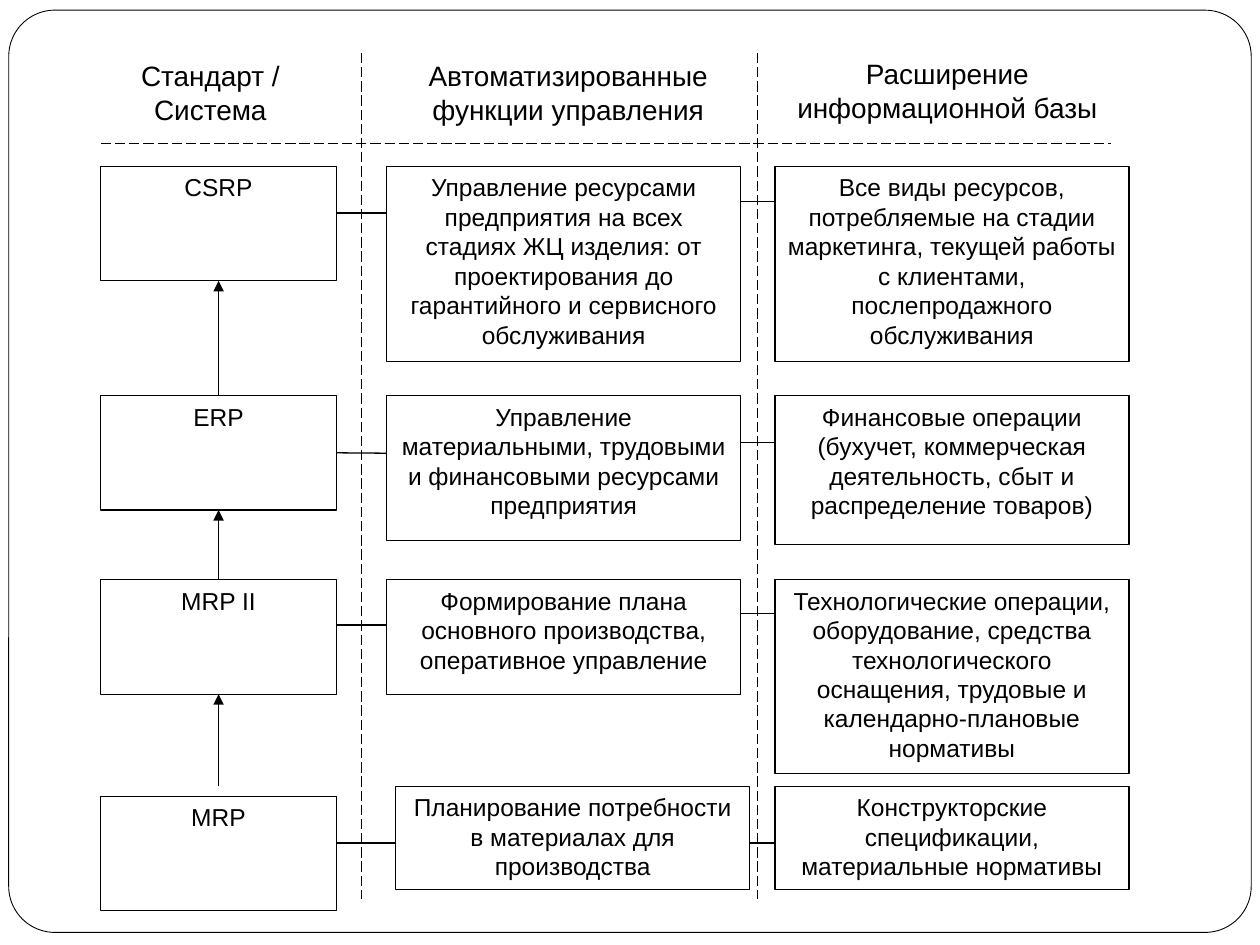
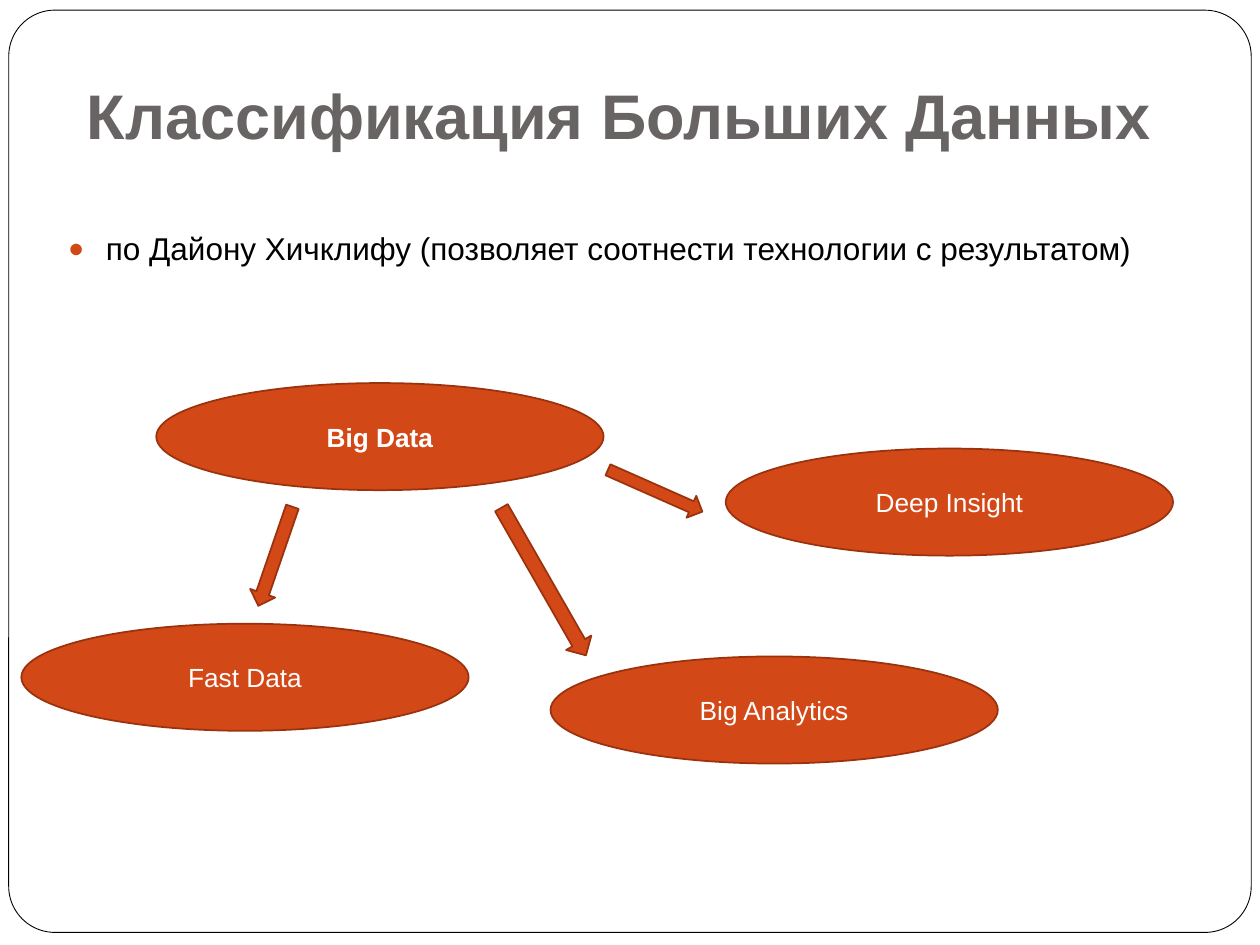
import pptx
import pptx.dml.color
import pptx.enum.dml
import pptx.enum.shapes
import pptx.enum.text
import pptx.oxml.ns
import pptx.util
from lxml import etree

Pt = pptx.util.Pt
SHAPES = pptx.enum.shapes.MSO_SHAPE
ANCHOR = pptx.enum.text.MSO_ANCHOR
ALIGN = pptx.enum.text.PP_ALIGN

# Shared style
FONT = "Arial"
BLACK, WHITE, GREY = "000000", "FFFFFF", "696464"
ORANGE, RUST = "D34817", "9B320E"
FRAME = (5, 5.8, 710, 527)

# Slide 1: headings (left, top, width) and the three columns of boxes
HEADINGS = [
    ("Стандарт / Система", 72, 30.2, 96.5),
    ("Автоматизированные функции управления", 231.8, 30.2, 185.8),
    ("Расширение информационной базы", 442, 28.8, 198.7),
]
HEADING_HEIGHT = 52.6
SYSTEM_LEFT, SYSTEM_WIDTH, SYSTEM_HEIGHT = 57.6, 134.6, 65.5
FUNCTION_LEFT, BASE_LEFT, DETAIL_WIDTH = 221, 442.8, 202.3
DIVIDERS = [  # from, to
    ((57.6, 82), (635, 82)),
    ((206.6, 30.2), (206.6, 514)),
    ((432.7, 30.2), (432.7, 514)),
]
LEVELS = [
    dict(system="CSRP", top=95, links=(121.7, 115.2),
         function="Управление ресурсами предприятия на всех стадиях ЖЦ изделия: "
                  "от проектирования до гарантийного и сервисного обслуживания",
         function_height=111.6,
         base="Все виды ресурсов, потребляемые на стадии маркетинга, текущей "
              "работы с клиентами, послепродажного обслуживания",
         base_height=111.6),
    dict(system="ERP", top=226, links=(259, 252.7),
         function="Управление материальными, трудовыми и финансовыми ресурсами "
                  "предприятия",
         function_height=82.8,
         base="Финансовые операции (бухучет, коммерческая деятельность, сбыт и "
              "распределение товаров)",
         base_height=85),
    dict(system="MRP II", top=331.2, links=(357.1, 350.6),
         function="Формирование плана основного производства, оперативное управление",
         function_height=65.5,
         base="Технологические операции, оборудование, средства технологического "
              "оснащения, трудовые и календарно-плановые нормативы",
         base_height=110.9),
    dict(system="MRP", top=455, links=(481.7, 481.7), detail_top=449.3,
         function="Планирование потребности в материалах для производства",
         function_left=226.1, function_height=59,
         base="Конструкторские спецификации, материальные нормативы",
         base_height=59),
]

# Slide 2: title, list and the tree of ellipses
TITLE = "Классификация Больших Данных"
TITLE_BOX = (42.5, 23, 641.5, 71.3)
AUTHOR_NOTE = "по Дайону Хичклифу (позволяет соотнести технологии с результатом)"
NOTE_BOX = (31.7, 127.4, 648, 62)
CLASS_SIZE = (255.6, 61.2)
CLASSES = [  # text, left, top, bold
    ("Big Data", 89.3, 218.9, True),
    ("Fast Data", 12.2, 356.4, False),
    ("Big Analytics", 314.6, 375.1, False),
    ("Deep Insight", 414.7, 256.3, False),
]
BRANCHES = [  # preset, box, rotation
    (SHAPES.RIGHT_ARROW, (344.9, 273.6, 59, 13.7), 23.9),
    (SHAPES.DOWN_ARROW, (149.8, 288, 15.1, 59.8), 19),
    (SHAPES.DOWN_ARROW, (302.4, 283.7, 16.6, 97.2), 330.2),
]


def rgb(value):
    return pptx.dml.color.RGBColor.from_string(value)


def add_xml(parent, tag, **attributes):
    return etree.SubElement(parent, pptx.oxml.ns.qn(tag), attributes)


def place(shape, box):
    shape.left, shape.top, shape.width, shape.height = map(Pt, box)


def write(shape, text, size, color, bold=False, align=ALIGN.CENTER, anchor=ANCHOR.TOP):
    frame = shape.text_frame
    frame.text = text
    frame.word_wrap = True
    frame.auto_size = pptx.enum.text.MSO_AUTO_SIZE.NONE
    frame.vertical_anchor = anchor
    paragraph = frame.paragraphs[0]
    paragraph.alignment = align
    font = paragraph.runs[0].font
    font.name, font.size, font.bold = FONT, Pt(size), bold
    font.color.rgb = rgb(color)
    return paragraph


def add_figure(slide, preset, box, fill, line=None, width=0.75):
    figure = slide.shapes.add_shape(preset, *map(Pt, box))
    figure.shadow.inherit = False
    figure.fill.solid()
    figure.fill.fore_color.rgb = rgb(fill)
    if line:
        figure.line.color.rgb = rgb(line)
        figure.line.width = Pt(width)
    else:
        figure.line.fill.background()
    return figure


def add_box(slide, text, box, size=14, line=BLACK):
    figure = add_figure(slide, SHAPES.RECTANGLE, box, WHITE, line)
    write(figure, text, size, BLACK)
    return figure


def add_line(slide, start, end, dashed=False, arrow=False):
    line = slide.shapes.add_connector(
        pptx.enum.shapes.MSO_CONNECTOR.STRAIGHT, *map(Pt, start + end))
    line.line.color.rgb = rgb(BLACK)
    line.line.width = Pt(0.75)
    if dashed:
        line.line.dash_style = pptx.enum.dml.MSO_LINE.LONG_DASH
    if arrow:
        add_xml(line.element.spPr.get_or_add_ln(), "a:tailEnd", type="triangle")
    add_xml(line.element.spPr, "a:effectLst")
    return line


def add_link(slide, left_box, right_box, y):
    """Level line between two boxes, joined where it meets a side's middle."""
    line = add_line(slide, (left_box.left.pt + left_box.width.pt, y),
                    (right_box.left.pt, y))
    if abs(left_box.top.pt + left_box.height.pt / 2 - y) < 1:
        line.begin_connect(left_box, 3)
    if abs(right_box.top.pt + right_box.height.pt / 2 - y) < 1:
        line.end_connect(right_box, 1)


def add_master_frame(deck, slide):
    frame = add_figure(slide, SHAPES.ROUNDED_RECTANGLE, FRAME, WHITE, BLACK, 0.5)
    frame.adjustments[0] = 0.05
    frame.element.nvSpPr.cNvPr.set("id", "20")
    deck.slide_master.shapes.element.insert(2, frame.element)


def build_standards(slide):
    for text, left, top, width in HEADINGS:
        add_box(slide, text, (left, top, width, HEADING_HEIGHT), 16, None)
    for start, end in DIVIDERS:
        add_line(slide, start, end, dashed=True)

    # Boxes of each level, linked from left to right
    systems = []
    for level in LEVELS:
        detail_top = level.get("detail_top", level["top"])
        system = add_box(slide, level["system"],
                         (SYSTEM_LEFT, level["top"], SYSTEM_WIDTH, SYSTEM_HEIGHT))
        function = add_box(slide, level["function"],
                           (level.get("function_left", FUNCTION_LEFT), detail_top,
                            DETAIL_WIDTH, level["function_height"]))
        base = add_box(slide, level["base"],
                       (BASE_LEFT, detail_top, DETAIL_WIDTH, level["base_height"]))
        add_link(slide, system, function, level["links"][0])
        add_link(slide, function, base, level["links"][1])
        systems.append(system)

    # Arrows from each system up to its successor
    center = SYSTEM_LEFT + SYSTEM_WIDTH / 2
    for upper, lower, level in zip(systems, systems[1:], LEVELS[1:]):
        start = level.get("detail_top", level["top"])
        arrow = add_line(slide, (center, start),
                         (center, upper.top.pt + upper.height.pt), arrow=True)
        if start == level["top"]:
            arrow.begin_connect(lower, 0)
        arrow.end_connect(upper, 2)


def build_classification(slide):
    title, note = slide.shapes.title, slide.placeholders[1]
    place(title, TITLE_BOX)
    title.line.color.rgb = rgb(WHITE)
    title.line.width = Pt(0.75)
    write(title, TITLE, 36, GREY, True, ALIGN.LEFT, ANCHOR.BOTTOM)
    title.text_frame.margin_bottom = Pt(7.2)

    # Bulleted line
    place(note, NOTE_BOX)
    paragraph = write(note, AUTHOR_NOTE, 18, BLACK, align=ALIGN.LEFT)
    paragraph.space_before = Pt(5.8)
    properties = paragraph._p.get_or_add_pPr()
    properties.set("marL", str(Pt(21.6)))
    properties.set("indent", str(-Pt(21.6)))
    add_xml(add_xml(properties, "a:buClr"), "a:srgbClr", val=ORANGE)
    add_xml(properties, "a:buSzPct", val="85000")
    add_xml(properties, "a:buFont", typeface=FONT)
    add_xml(properties, "a:buChar", char="●")

    # Ellipses and arrows
    for text, left, top, bold in CLASSES:
        ellipse = add_figure(slide, SHAPES.OVAL, (left, top) + CLASS_SIZE, ORANGE, RUST, 1)
        write(ellipse, text, 15, WHITE, bold, anchor=ANCHOR.MIDDLE)
    for preset, box, rotation in BRANCHES:
        add_figure(slide, preset, box, ORANGE, RUST, 1).rotation = rotation


def main():
    deck = pptx.Presentation()
    deck.slide_width, deck.slide_height = Pt(720), Pt(540)
    standards = deck.slides.add_slide(deck.slide_layouts[6])
    add_master_frame(deck, standards)
    build_standards(standards)
    build_classification(deck.slides.add_slide(deck.slide_layouts[1]))
    deck.save("out.pptx")


if __name__ == "__main__":
    main()
